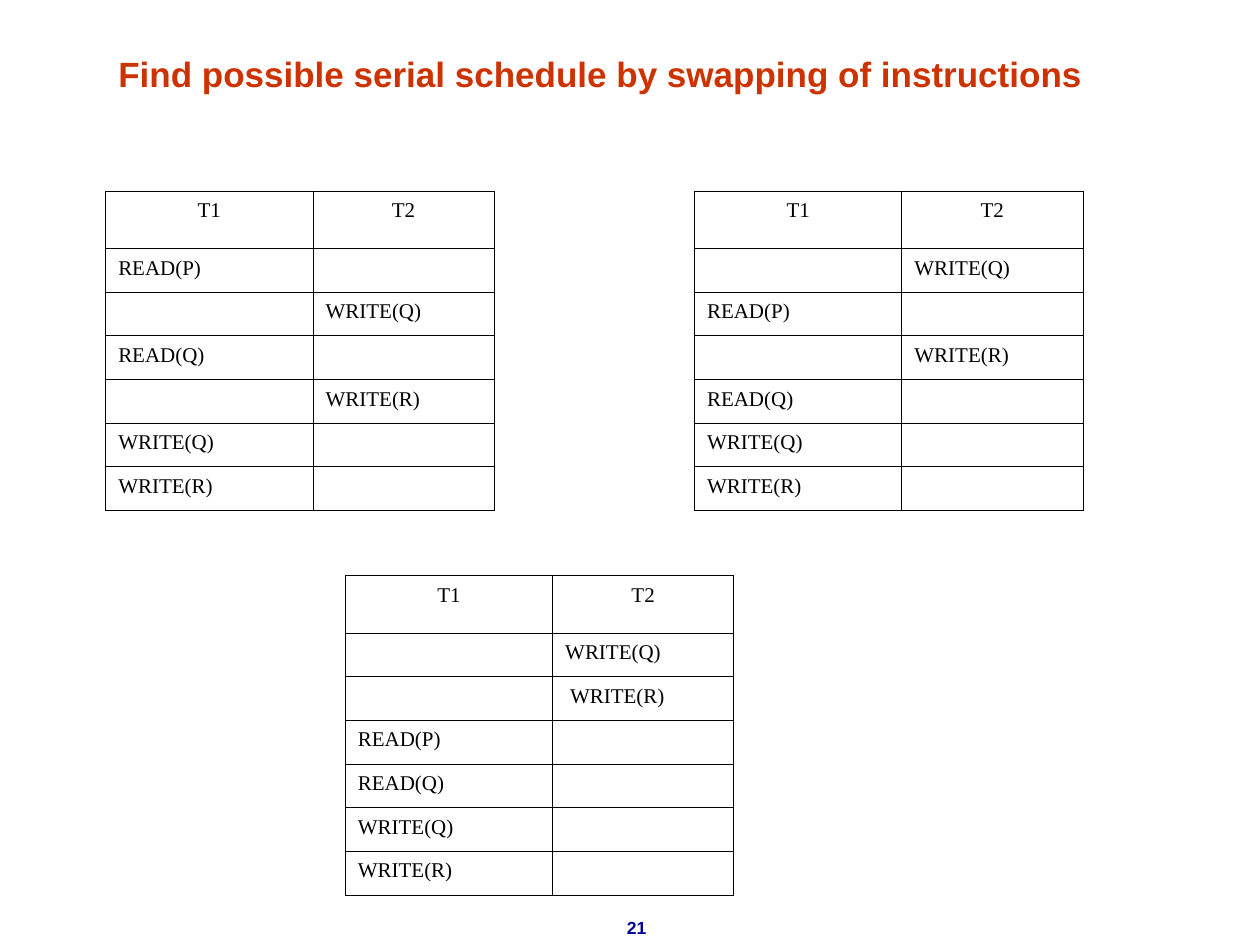
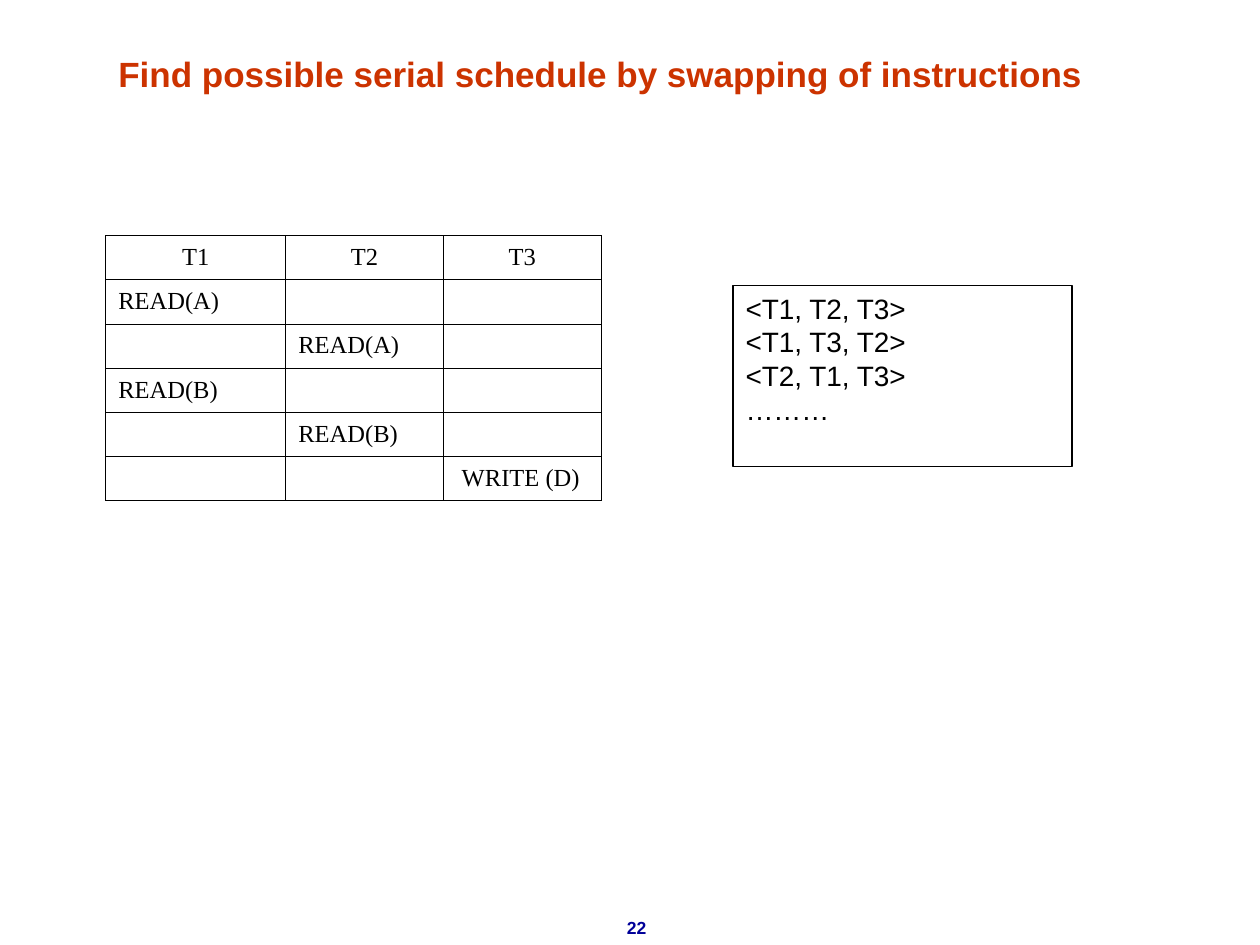
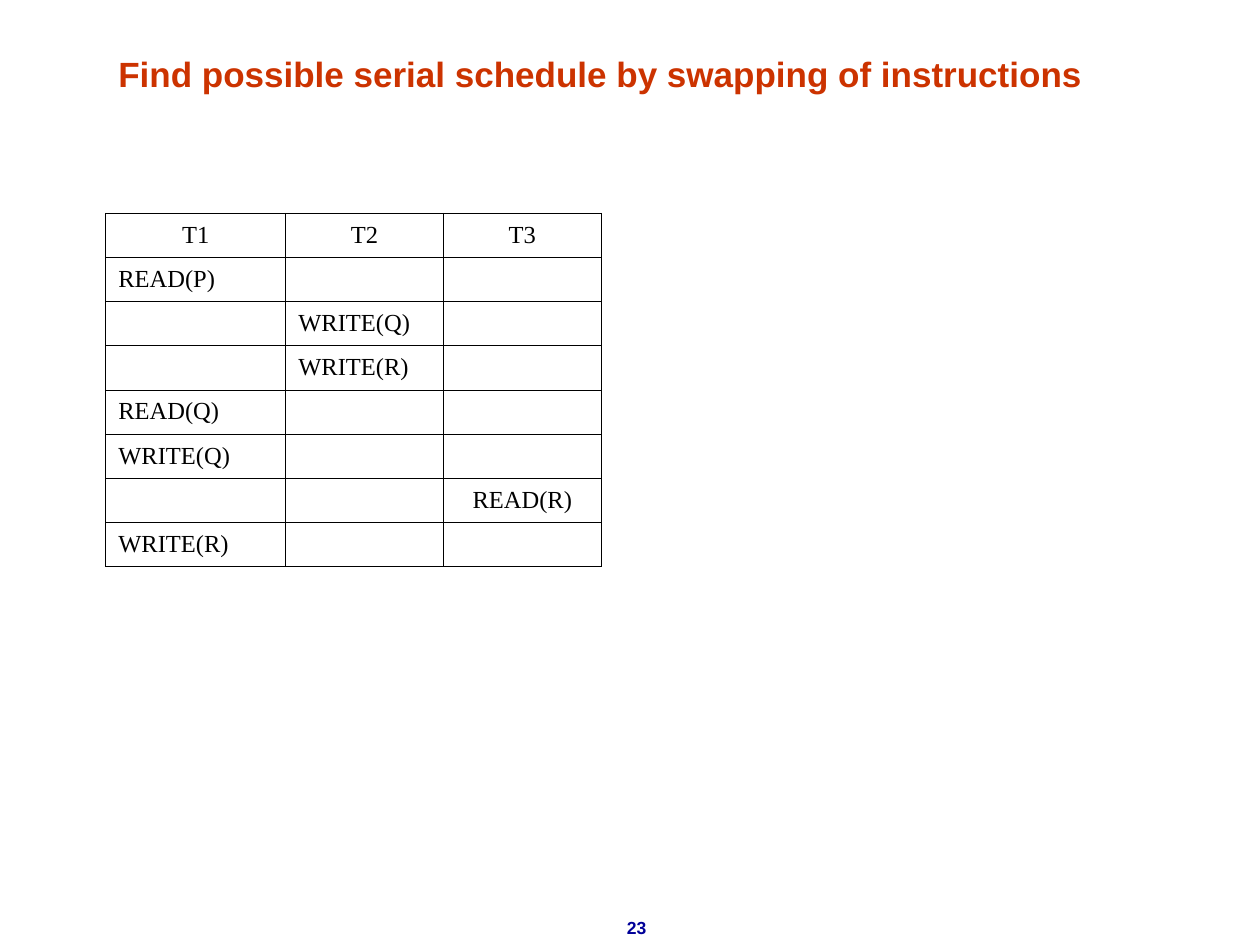
from lxml.etree import SubElement
from pptx import Presentation
from pptx.dml.color import RGBColor
from pptx.enum.shapes import MSO_SHAPE
from pptx.enum.text import MSO_ANCHOR, PP_ALIGN
from pptx.oxml import parse_xml
from pptx.oxml.ns import nsdecls, qn
from pptx.util import Cm, Pt

# Shared style
TITLE_RED = RGBColor(0xCC, 0x33, 0x00)
NUMBER_BLUE = RGBColor(0x00, 0x00, 0x99)
BLACK = RGBColor(0, 0, 0)
SANS, SERIF = "Arial", "Times New Roman"
TITLE = "Find possible serial schedule by swapping of instructions"
TITLE_BOX = (Cm(2.13), Cm(0.33), Cm(22.43), Cm(1.7))
NUMBER_BOX = (Cm(11.73), Cm(18.36), Cm(2.21), Cm(0.69))
TITLE_ONLY = 5
FIRST_NUMBER = 21
LEFT = Cm(2.13)

# Table formats by number of transactions: column widths, row heights, text size
PAIR = dict(widths=(Cm(4.18), Cm(3.65)), header_height=Cm(1.16), step_height=Cm(0.88), size=12)
TRIPLE = dict(widths=(Cm(3.63), Cm(3.18), Cm(3.18)), header_height=Cm(0.89),
              step_height=Cm(0.89), size=14)

# Schedules: each step is (transaction, instruction)
MIXED = [(1, "READ(P)"), (2, "WRITE(Q)"), (1, "READ(Q)"),
         (2, "WRITE(R)"), (1, "WRITE(Q)"), (1, "WRITE(R)")]
SWAPPED = [(2, "WRITE(Q)"), (1, "READ(P)"), (2, "WRITE(R)"),
           (1, "READ(Q)"), (1, "WRITE(Q)"), (1, "WRITE(R)")]
SERIAL = [(2, "WRITE(Q)"), (2, " WRITE(R)"), (1, "READ(P)"),
          (1, "READ(Q)"), (1, "WRITE(Q)"), (1, "WRITE(R)")]
READS = [(1, "READ(A)"), (2, "READ(A)"), (1, "READ(B)"),
         (2, "READ(B)"), (3, " WRITE (D)")]
THREE_WAY = [(1, "READ(P)"), (2, "WRITE(Q)"), (2, "WRITE(R)"), (1, "READ(Q)"),
             (1, "WRITE(Q)"), (3, "READ(R)"), (1, "WRITE(R)")]
SERIAL_ORDERS = "<T1, T2, T3>\n<T1, T3, T2>\n<T2, T1, T3>\n………"


def write_text(frame, text, size, font=SANS, color=BLACK, bold=False,
               align=PP_ALIGN.LEFT, spacing=None):
    frame.text = text
    for paragraph in frame.paragraphs:
        paragraph.alignment = align
        paragraph.line_spacing = spacing
        for run in paragraph.runs:
            run.font.size = Pt(size)
            run.font.name = font
            run.font.bold = bold
            run.font.color.rgb = color
        if not paragraph.runs:  # keeps empty rows at their height
            SubElement(paragraph._p, qn("a:endParaRPr"), sz=str(size * 100))


def outline_cell(cell):
    cell.fill.background()
    properties = cell._tc.get_or_add_tcPr()
    for position, side in enumerate("LRTB"):
        properties.insert(position, parse_xml(
            f'<a:ln{side} {nsdecls("a")} w="{Pt(0.45)}"><a:solidFill>'
            f'<a:srgbClr val="{BLACK}"/></a:solidFill></a:ln{side}>'))


def add_schedule(slide, left, top, steps, widths, header_height, step_height, size, centred=()):
    heights = [header_height] + [step_height] * len(steps)
    schedule = slide.shapes.add_table(len(heights), len(widths), left, top,
                                      sum(widths), sum(heights)).table
    schedule.first_row = schedule.horz_banding = False
    for column, width in zip(schedule.columns, widths):
        column.width = width
    for row, height in zip(schedule.rows, heights):
        row.height = height

    contents = {(0, i): f"T{i + 1}" for i in range(len(widths))}
    contents.update({(row, transaction - 1): instruction
                     for row, (transaction, instruction) in enumerate(steps, 1)})
    for row in range(len(heights)):
        for column in range(len(widths)):
            cell = schedule.cell(row, column)
            text = contents.get((row, column), "")
            align = PP_ALIGN.CENTER if row == 0 or text in centred else PP_ALIGN.LEFT
            write_text(cell.text_frame, text, size, font=SERIF, align=align, spacing=1.07)
            outline_cell(cell)


def add_orders_box(slide, left, top, width, height):
    orders = slide.shapes.add_shape(MSO_SHAPE.RECTANGLE, left, top, width, height)
    orders.shadow.inherit = False
    orders.fill.background()
    orders.line.color.rgb = BLACK
    orders.line.width = Pt(0.75)
    orders.text_frame.vertical_anchor = MSO_ANCHOR.TOP
    write_text(orders.text_frame, SERIAL_ORDERS, 16)


def add_titled_slide(deck):
    slide = deck.slides.add_slide(deck.slide_layouts[TITLE_ONLY])
    title = slide.shapes.title
    title.left, title.top, title.width, title.height = TITLE_BOX
    title.text_frame.vertical_anchor = MSO_ANCHOR.BOTTOM
    write_text(title.text_frame, TITLE, 20, color=TITLE_RED, bold=True)

    number = slide.shapes.add_textbox(*NUMBER_BOX).text_frame
    write_text(number, str(FIRST_NUMBER + len(deck.slides) - 1), 10,
               color=NUMBER_BLUE, bold=True, align=PP_ALIGN.CENTER)
    number.word_wrap = True
    return slide


def main():
    deck = Presentation()
    deck.slide_width, deck.slide_height = Cm(25.4), Cm(19.05)

    # Two transactions, swapped step by step into a serial schedule
    swapping = add_titled_slide(deck)
    add_schedule(swapping, LEFT, Cm(3.85), MIXED, **PAIR)
    add_schedule(swapping, Cm(14), Cm(3.85), SWAPPED, **PAIR)
    add_schedule(swapping, Cm(6.96), Cm(11.6), SERIAL, **PAIR)

    # Three transactions with the serial orders they allow
    ordering = add_titled_slide(deck)
    add_schedule(ordering, LEFT, Cm(4.75), READS, **TRIPLE)
    add_orders_box(ordering, Cm(14.78), Cm(5.75), Cm(6.83), Cm(3.65))

    # Three transactions as an exercise
    exercise = add_titled_slide(deck)
    add_schedule(exercise, LEFT, Cm(4.3), THREE_WAY, centred=("READ(R)",), **TRIPLE)

    deck.save("out.pptx")


if __name__ == "__main__":
    main()
